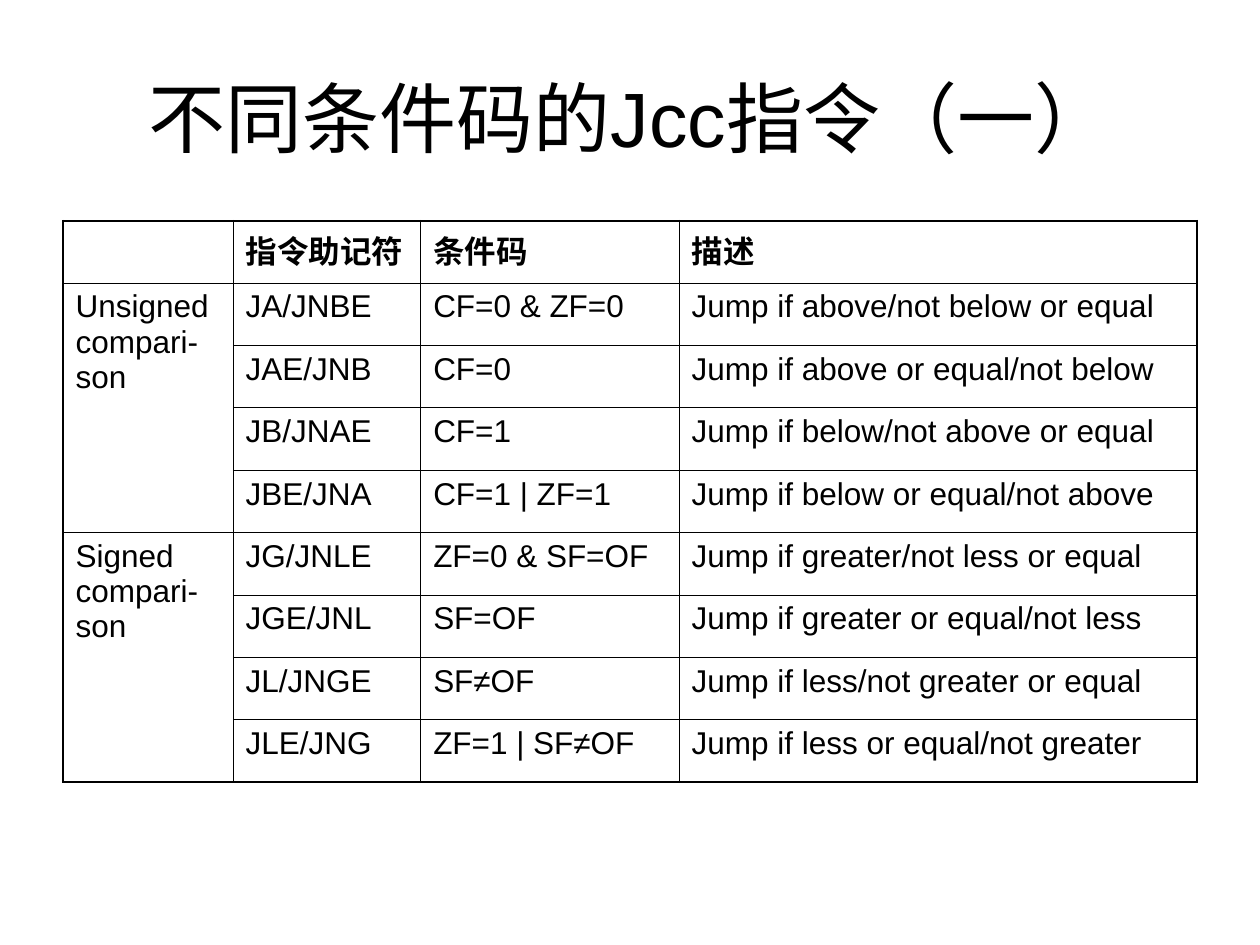
from dataclasses import dataclass

from lxml.etree import SubElement
from pptx import Presentation
from pptx.dml.color import RGBColor
from pptx.enum.text import MSO_ANCHOR, PP_ALIGN
from pptx.oxml.ns import qn
from pptx.util import Cm, Pt


@dataclass(frozen=True)
class Theme:
    """Hold the colours, font, type sizes and line widths."""

    ink: str = "000000"
    font: str = "Arial"
    title_size: int = 44
    table_size: int = 18
    thin: float = 0.45
    thick: float = 1.08


THEME = Theme()
TITLE = "不同条件码的Jcc指令（一）"
HEADINGS = ("", "指令助记符", "条件码", "描述")
GROUPS = {
    "Unsigned compari-son": (
        ("JA/JNBE", "CF=0 & ZF=0", "Jump if above/not below or equal"),
        ("JAE/JNB", "CF=0", "Jump if above or equal/not below"),
        ("JB/JNAE", "CF=1", "Jump if below/not above or equal"),
        ("JBE/JNA", "CF=1 | ZF=1", "Jump if below or equal/not above"),
    ),
    "Signed compari-son": (
        ("JG/JNLE", "ZF=0 & SF=OF", "Jump if greater/not less or equal"),
        ("JGE/JNL", "SF=OF", "Jump if greater or equal/not less"),
        ("JL/JNGE", "SF≠OF", "Jump if less/not greater or equal"),
        ("JLE/JNG", "ZF=1 | SF≠OF", "Jump if less or equal/not greater"),
    ),
}
COLUMN_WIDTHS = (3.43, 3.78, 5.21, 10.44)
TABLE_HEIGHT = 11.32


def write_text(frame, text, size, bold=False, align=PP_ALIGN.LEFT):
    """Write one formatted paragraph into a text frame."""
    para = frame.paragraphs[0]
    para.alignment = align
    span = para.add_run()
    span.text = text
    span.font.name = THEME.font
    span.font.size = Pt(size)
    span.font.bold = bold
    span.font.color.rgb = RGBColor.from_string(THEME.ink)


def add_title(page, text):
    """Add the centred title box."""
    box = page.shapes.add_textbox(Cm(1.27), Cm(0.76), Cm(22.86), Cm(3.18))
    frame = box.text_frame
    frame.word_wrap = True
    frame.vertical_anchor = MSO_ANCHOR.MIDDLE
    write_text(frame, text, THEME.title_size, align=PP_ALIGN.CENTER)


def draw_border(cell, side, width):
    """Draw one solid edge of a table cell."""
    properties = cell._tc.get_or_add_tcPr()
    line = SubElement(properties, qn(f"a:{side}"), w=str(Pt(width)))
    fill = SubElement(line, qn("a:solidFill"))
    SubElement(fill, qn("a:srgbClr"), val=THEME.ink)


def style_cell(cell, outer_edges):
    """Give a cell no fill, with thick lines on its outer edges."""
    for side, is_outer in outer_edges.items():
        draw_border(cell, side, THEME.thick if is_outer else THEME.thin)
    cell.fill.background()


def add_instruction_table(page):
    """Add the table of jump instructions grouped by comparison."""
    rows = [HEADINGS]
    group_starts = []
    for group, instructions in GROUPS.items():
        group_starts.append((len(rows), len(instructions)))
        for index, instruction in enumerate(instructions):
            rows.append(("" if index else group, *instruction))

    row_count, column_count = len(rows), len(HEADINGS)
    table = page.shapes.add_table(
        row_count, column_count, Cm(1.27), Cm(4.45),
        Cm(sum(COLUMN_WIDTHS)), Cm(TABLE_HEIGHT),
    ).table
    table.first_row = table.horz_banding = False
    for column, width in zip(table.columns, COLUMN_WIDTHS):
        column.width = Cm(width)
    for row in table.rows:
        row.height = Cm(TABLE_HEIGHT / row_count)
    for start, length in group_starts:
        table.cell(start, 0).merge(table.cell(start + length - 1, 0))

    for row_index, texts in enumerate(rows):
        for column_index, text in enumerate(texts):
            cell = table.cell(row_index, column_index)
            style_cell(cell, {
                "lnL": column_index == 0,
                "lnR": column_index == column_count - 1,
                "lnT": row_index == 0,
                "lnB": row_index + cell.span_height == row_count,
            })
            if text:
                write_text(cell.text_frame, text, THEME.table_size, bold=row_index == 0)


def main():
    """Build and save the deck."""
    deck = Presentation()
    deck.slide_width, deck.slide_height = Cm(25.4), Cm(19.05)
    page = deck.slides.add_slide(deck.slide_layouts[6])
    add_title(page, TITLE)
    add_instruction_table(page)
    deck.save("out.pptx")


if __name__ == "__main__":
    main()
